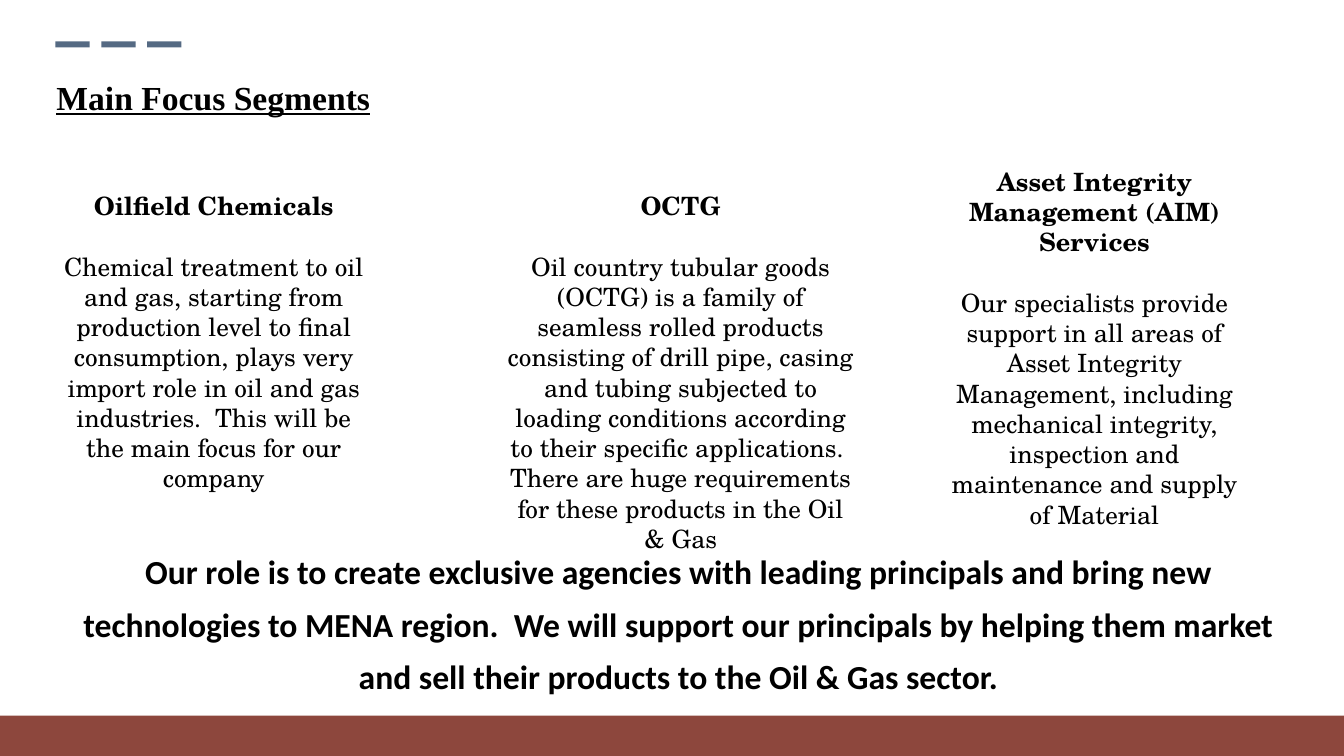
from pptx import Presentation
from pptx.dml.color import RGBColor
from pptx.enum.shapes import MSO_SHAPE as Shape
from pptx.enum.text import MSO_ANCHOR as Anchor, PP_ALIGN as Align
from pptx.oxml.ns import qn
from pptx.util import Inches, Pt
from lxml.etree import SubElement

COLORS = {"dash": "556A83", "footer": "7F3126", "text": "000000"}
WIDTH, HEIGHT = 13.33, 7.5
MARGIN = 0.55
BODY_FONT = "TeX Gyre Schola"

deck = Presentation()
deck.slide_width, deck.slide_height = Inches(WIDTH), Inches(HEIGHT)
page = deck.slides.add_slide(deck.slide_layouts[5])


def add_bar(left, top, width, height, color):
    bar = page.shapes.add_shape(
        Shape.RECTANGLE, Inches(left), Inches(top), Inches(width), Inches(height))
    bar.shadow.inherit = False
    bar.fill.solid()
    bar.fill.fore_color.rgb = RGBColor.from_string(COLORS[color])
    bar.line.fill.background()
    return bar


def add_span(para, text, font, size, bold=True, align=Align.CENTER):
    para.alignment = align
    span = para.add_run()
    span.text = text
    span.font.name, span.font.size, span.font.bold = font, Pt(size), bold
    span.font.color.rgb = RGBColor.from_string(COLORS["text"])
    return span


# Dashes above the title and the footer band
for column in range(3):
    add_bar(MARGIN + column * 0.455, 0.41, 0.34, 0.06, "dash")

footer = add_bar(0, 7.1, WIDTH, HEIGHT - 7.1, "footer")
footer_color = footer.fill._xPr.find(qn("a:solidFill"))[0]
SubElement(footer_color, qn("a:alpha"), val="89000")

# Title
title = page.shapes.title
title.left, title.top = Inches(0.46), Inches(0.71)
title.width, title.height = Inches(6.14), Inches(0.5)
title.text_frame.vertical_anchor = Anchor.TOP
heading = add_span(title.text_frame.paragraphs[0], "Main Focus Segments",
                   "Times New Roman", 24, align=Align.LEFT)
heading.font.underline = True

# Segments: left, top, width, height, name, description
segments = [
    (0.46, 1.84, 3.32, 2.83, "Oilfield Chemicals",
     "Chemical treatment to oil and gas, starting from production level to final "
     "consumption, plays very import role in oil and gas industries.  This will be "
     "the main focus for our company"),
    (4.93, 1.84, 3.64, 3.43, "OCTG",
     "Oil country tubular goods (OCTG) is a family of seamless rolled products "
     "consisting of drill pipe, casing and tubing subjected to loading conditions "
     "according to their specific applications.  There are huge requirements for "
     "these products in the Oil & Gas"),
    (9.24, 1.6, 3.23, 3.74, "Asset Integrity Management (AIM) Services",
     "Our specialists provide support in all areas of Asset Integrity Management, "
     "including mechanical integrity, inspection and maintenance and supply of "
     "Material"),
]
for left, top, width, height, name, description in segments:
    box = page.shapes.add_textbox(
        Inches(left), Inches(top), Inches(width), Inches(height))
    box.text_frame.word_wrap = True
    add_span(box.text_frame.paragraphs[0], name, BODY_FONT, 18)
    para = box.text_frame.add_paragraph()
    para.space_before = Pt(21.6)
    add_span(para, description, BODY_FONT, 18, bold=False)

# Closing statement
role = page.shapes.add_textbox(
    Inches(MARGIN), Inches(5.3), Inches(12.3), Inches(1.63))
role.text_frame.word_wrap = True
para = role.text_frame.paragraphs[0]
para.line_spacing = 1.3
para._p.get_or_add_pPr().set("marL", str(Inches(0.06)))
add_span(para,
         "Our role is to create exclusive agencies with leading principals and bring "
         "new technologies to MENA region.  We will support our principals by helping "
         "them market and sell their products to the Oil & Gas sector.",
         "Calibri", 24)

deck.save("out.pptx")
